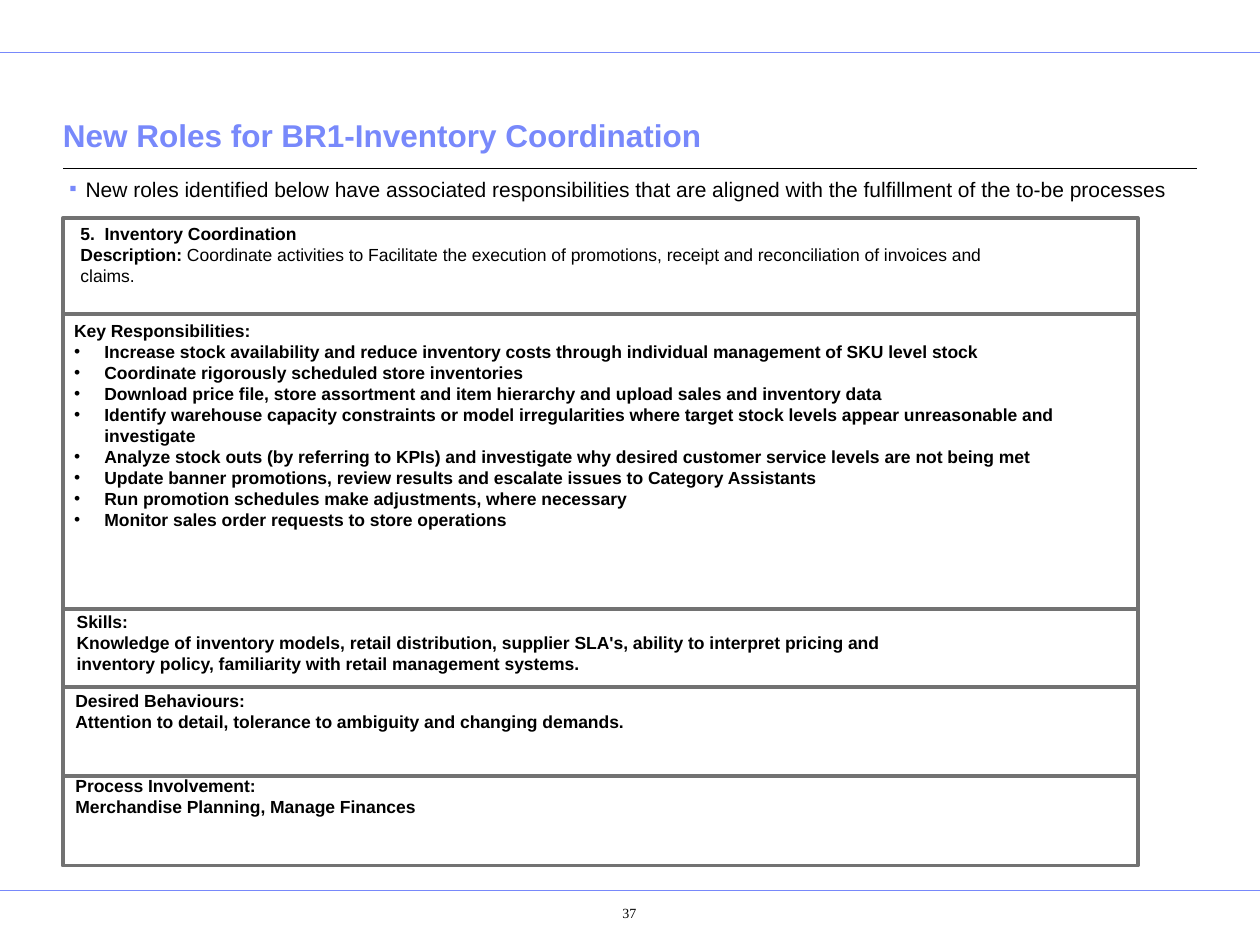
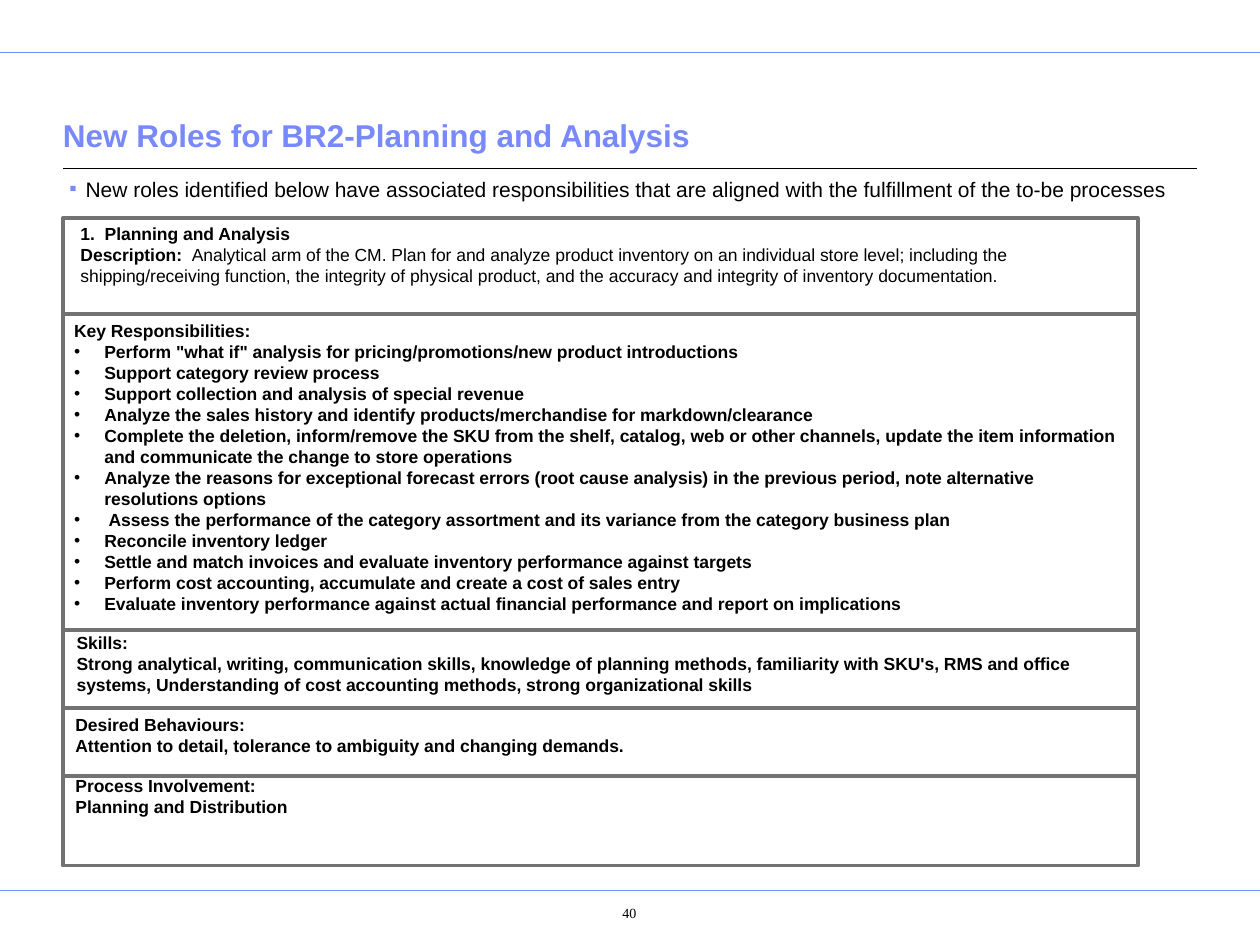
from dataclasses import dataclass
from itertools import pairwise

from lxml.etree import SubElement
from pptx import Presentation
from pptx.dml.color import RGBColor
from pptx.enum.shapes import MSO_CONNECTOR, MSO_SHAPE
from pptx.enum.text import MSO_ANCHOR, MSO_AUTO_SIZE, PP_ALIGN
from pptx.oxml.ns import qn
from pptx.util import Emu, Pt


@dataclass(frozen=True)
class Theme:
    accent: str = "7889FB"
    ink: str = "000000"
    frame: str = "727272"
    sans: str = "Arial"
    serif: str = "Times New Roman"
    title_size: int = 18
    lead_size: int = 12
    body_size: int = 10
    page_size: int = 8
    band_line: float = 0.5
    title_line: float = 0.75
    frame_line: float = 2.25


THEME = Theme()
EMU_PER_PX = 9144
PAGE_WIDTH, PAGE_HEIGHT = 1000, 750
MARGIN = 50
CONTENT_WIDTH = 900
FRAME_WIDTH = 853
TEXT_INSETS = (10, 5, 10, 5)

LEAD = (
    "New roles identified below have associated responsibilities that are "
    "aligned with the fulfillment of the to-be processes"
)
BEHAVIOURS = "Attention to detail, tolerance to ambiguity and changing demands."

ROLES = [
    {
        "title": "New Roles for BR1-Inventory Coordination",
        "page": "37",
        "edges": [173, 249, 483, 545, 616, 687],
        "role": "5.  Inventory Coordination",
        "label": "Description: ",
        "description": "Coordinate activities to Facilitate the execution of promotions, "
        "receipt and reconciliation of invoices and claims.",
        "duties_height": 161,
        "duties": [
            "Increase stock availability and reduce inventory costs through individual "
            "management of SKU level stock",
            "Coordinate rigorously scheduled store inventories",
            "Download price file, store assortment and item hierarchy and upload sales "
            "and inventory data",
            "Identify warehouse capacity constraints or model irregularities where target "
            "stock levels appear unreasonable and investigate",
            "Analyze stock outs (by referring to KPIs) and investigate why desired "
            "customer service levels are not being met",
            "Update banner promotions, review results and escalate issues to Category "
            "Assistants",
            "Run promotion schedules make adjustments, where necessary",
            "Monitor sales order requests to store operations",
        ],
        "skills_width": 701,
        "skills": "Knowledge of inventory models, retail distribution, supplier SLA's, "
        "ability to interpret pricing and inventory policy, familiarity with retail "
        "management systems.",
        "behaviours_top": 543,
        "process": "Merchandise Planning, Manage Finances",
    },
    {
        "title": "New Roles for BR2-Planning and Analysis",
        "page": "40",
        "edges": [173, 249, 500, 562, 616, 687],
        "role": "1.  Planning and Analysis",
        "label": "Description:  ",
        "description": "Analytical arm of the CM. Plan for and analyze product inventory on "
        "an individual store level; including the shipping/receiving function, the "
        "integrity of physical product, and the accuracy and integrity of inventory "
        "documentation.",
        "duties_height": 261,
        "duties": [
            'Perform "what if" analysis for pricing/promotions/new product introductions',
            "Support category review process",
            "Support collection and analysis of special revenue",
            "Analyze the sales history and identify products/merchandise for "
            "markdown/clearance",
            "Complete the deletion, inform/remove the SKU from the shelf, catalog, web or "
            "other channels, update the item information and communicate the change to "
            "store operations",
            "Analyze the reasons for exceptional forecast errors (root cause analysis) in "
            "the previous period, note alternative resolutions options",
            " Assess the performance of the category assortment and its variance from the "
            "category business plan",
            "Reconcile inventory ledger",
            "Settle and match invoices and evaluate inventory performance against targets",
            "Perform cost accounting, accumulate and create a cost of sales entry",
            "Evaluate inventory performance against actual financial performance and "
            "report on implications",
        ],
        "skills_width": 816,
        "skills": "Strong analytical, writing, communication skills, knowledge of planning "
        "methods, familiarity with SKU's, RMS and office systems, Understanding of cost "
        "accounting methods, strong organizational skills",
        "behaviours_top": 562,
        "process": "Planning and Distribution",
    },
]


def px(length):
    return Emu(length * EMU_PER_PX)


def style_runs(paragraph, size, bold=False, color=THEME.ink, face=THEME.sans):
    for run in paragraph.runs:
        run.font.name = face
        run.font.size = Pt(size)
        run.font.bold = bold
        run.font.color.rgb = RGBColor.from_string(color)


def indent(paragraph, left, first=0):
    properties = paragraph._p.get_or_add_pPr()
    properties.set("marL", str(px(left)))
    properties.set("indent", str(px(first)))
    return properties


def add_bullet(paragraph, symbol, color, hang):
    properties = indent(paragraph, hang, -hang)
    bullet_color = SubElement(properties, qn("a:buClr"))
    SubElement(bullet_color, qn("a:srgbClr")).set("val", color)
    SubElement(properties, qn("a:buFont")).set("typeface", THEME.sans)
    SubElement(properties, qn("a:buChar")).set("char", symbol)


def add_text(slide, box, lines, insets=TEXT_INSETS, wrap=True, grow=False):
    frame = slide.shapes.add_textbox(*map(px, box)).text_frame
    frame.margin_left, frame.margin_top, frame.margin_right, frame.margin_bottom = map(
        px, insets
    )
    frame.word_wrap = wrap
    frame.auto_size = MSO_AUTO_SIZE.SHAPE_TO_FIT_TEXT if grow else MSO_AUTO_SIZE.NONE
    frame.text = "\n".join(lines)
    return frame


def add_section(slide, box, lines, wrap=True):
    section = add_text(slide, box, lines, wrap=wrap, grow=True)
    for paragraph in section.paragraphs:
        style_runs(paragraph, THEME.body_size, bold=True)
    return section


def add_rule(slide, left, top, width, color, weight):
    rule = slide.shapes.add_connector(
        MSO_CONNECTOR.STRAIGHT, px(left), px(top), px(left + width), px(top)
    )
    rule.line.color.rgb = RGBColor.from_string(color)
    rule.line.width = Pt(weight)
    SubElement(rule._element.spPr, qn("a:effectLst"))


def add_frame(slide, top, bottom):
    frame = slide.shapes.add_shape(
        MSO_SHAPE.RECTANGLE, px(MARGIN), px(top), px(FRAME_WIDTH), px(bottom - top)
    )
    frame.shadow.inherit = False
    frame.fill.background()
    frame.line.color.rgb = RGBColor.from_string(THEME.frame)
    frame.line.width = Pt(THEME.frame_line)


def add_page_furniture(slide, title, page):
    for band_top in (42, 707):
        add_rule(slide, 0, band_top, PAGE_WIDTH, THEME.accent, THEME.band_line)
    add_rule(slide, MARGIN, 134, CONTENT_WIDTH, THEME.ink, THEME.title_line)

    heading = add_text(slide, (MARGIN, 64, CONTENT_WIDTH, 63), [title], (0, 5, 0, 5))
    heading.vertical_anchor = MSO_ANCHOR.BOTTOM
    style_runs(heading.paragraphs[0], THEME.title_size, True, THEME.accent)

    lead = add_text(slide, (MARGIN, 134, CONTENT_WIDTH, 549), [LEAD], (5, 5, 5, 5))
    lead_line = lead.paragraphs[0]
    lead_line.line_spacing = 1.04
    add_bullet(lead_line, "▪", THEME.accent, 13)
    style_runs(lead_line, THEME.lead_size)

    footer = add_text(slide, (427, 711, 115, 35), [page], (16, 7, 10, 5))
    number = footer.paragraphs[0]
    indent(number, 24)
    number.alignment = PP_ALIGN.CENTER
    style_runs(number, THEME.page_size, face=THEME.serif)


def add_description(slide, role):
    summary = add_section(slide, (54, 172, 765, 60), [role["role"], role["label"]])
    description = summary.paragraphs[1]
    description.add_run().text = role["description"]
    style_runs(description, THEME.body_size)
    description.runs[0].font.bold = True


def add_duties(slide, role):
    duties = add_section(
        slide,
        (49, role["edges"][1], 854, role["duties_height"]),
        ["Key Responsibilities:", *role["duties"]],
    )
    for duty in duties.paragraphs[1:]:
        add_bullet(duty, "•", THEME.ink, 24)


def add_role_slide(deck, role):
    slide = deck.slides.add_slide(deck.slide_layouts[6])
    add_page_furniture(slide, role["title"], role["page"])
    for top, bottom in pairwise(role["edges"]):
        add_frame(slide, top, bottom)
    add_description(slide, role)
    add_duties(slide, role)
    skills_top = role["edges"][2] - 3
    add_section(
        slide, (51, skills_top, role["skills_width"], 60), ["Skills:", role["skills"]]
    )
    add_section(
        slide,
        (MARGIN, role["behaviours_top"], 455, 44),
        ["Desired Behaviours:", BEHAVIOURS],
        wrap=False,
    )
    add_section(
        slide, (MARGIN, 610, 852, 44), ["Process Involvement:", role["process"]]
    )


def main():
    deck = Presentation()
    deck.slide_width, deck.slide_height = px(PAGE_WIDTH), px(PAGE_HEIGHT)
    for role in ROLES:
        add_role_slide(deck, role)
    deck.save("out.pptx")


if __name__ == "__main__":
    main()
